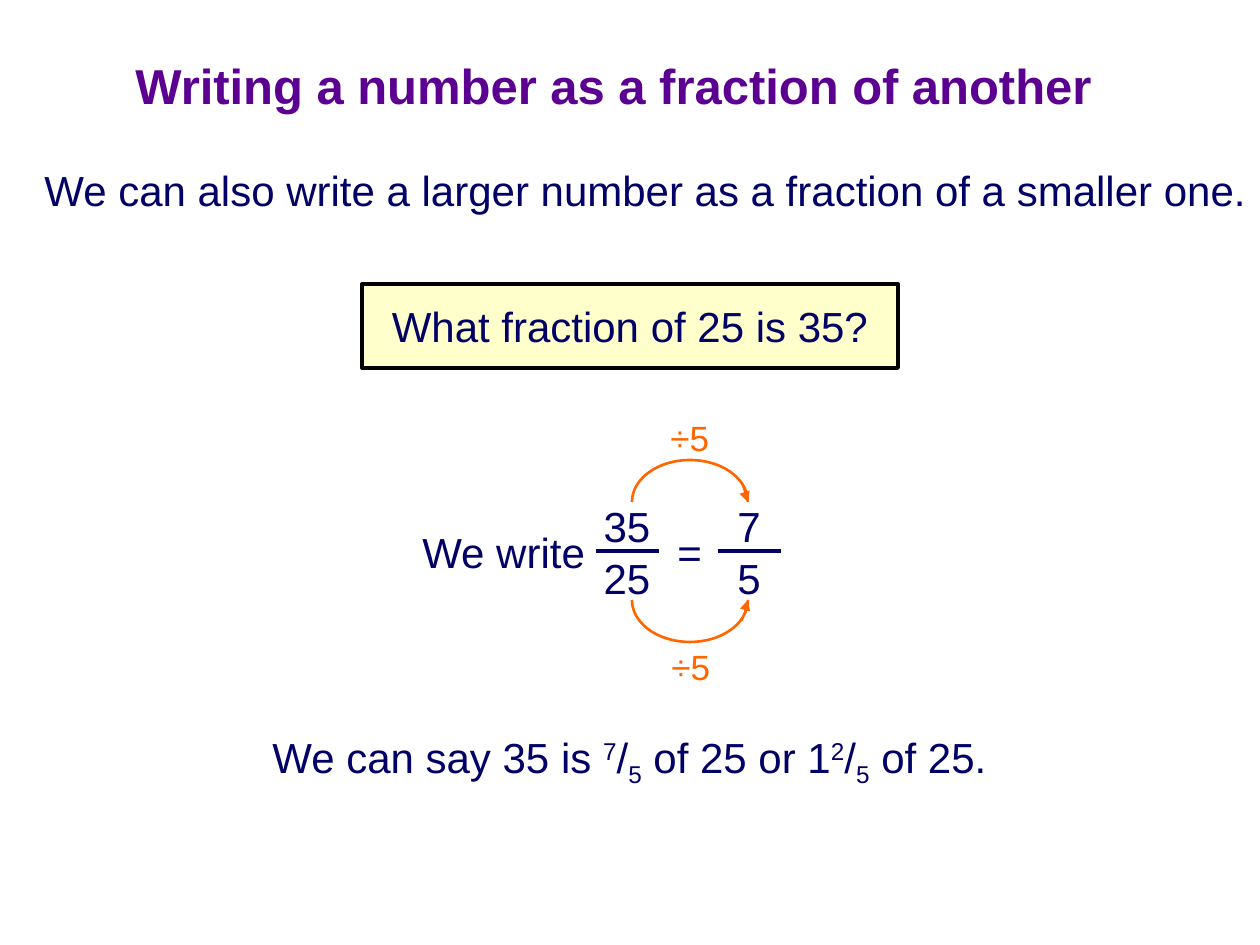
from dataclasses import dataclass

import pptx
import pptx.dml.color
import pptx.enum.shapes
import pptx.enum.text
import pptx.oxml
import pptx.oxml.ns
import pptx.util

EMU_PER_PX = 914400 / 126
ALIGN = pptx.enum.text.PP_ALIGN
ANCHOR = pptx.enum.text.MSO_ANCHOR
SHAPE = pptx.enum.shapes.MSO_SHAPE


@dataclass(frozen=True)
class Theme:
    font: str = "Arial"
    title: str = "5B0091"
    ink: str = "010066"
    accent: str = "FF6600"
    panel: str = "FFFFCC"
    border: str = "000000"
    title_size: int = 28
    body_size: int = 24
    note_size: int = 20
    heavy: float = 2.25
    medium: float = 1.5
    thin: float = 0.75


@dataclass(frozen=True)
class Box:
    x: int
    y: int
    w: int
    h: int


@dataclass(frozen=True)
class Label:
    text: str
    box: Box
    color: str
    size: int


@dataclass(frozen=True)
class Fraction:
    top: str
    bottom: str
    cx: int
    w: int


@dataclass(frozen=True)
class Arc:
    box: Box
    start: int
    end: int
    tip_from: tuple[int, int]
    tip_to: tuple[int, int]


THEME = Theme()
BAR_Y, BAR_W = 551, 63
LINE_H = 63

LABELS = [
    Label("We can also write a larger number as a fraction of a smaller one.",
          Box(32, 158, 1227, LINE_H), THEME.ink, THEME.body_size),
    Label("We write", Box(410, 520, 188, LINE_H), THEME.ink, THEME.body_size),
    Label("=", Box(665, 520, 49, LINE_H), THEME.ink, THEME.body_size),
    Label("÷5", Box(658, 410, 64, 55), THEME.accent, THEME.note_size),
    Label("÷5", Box(659, 639, 64, 55), THEME.accent, THEME.note_size),
]
FRACTIONS = [Fraction("35", "25", 627, 72), Fraction("7", "5", 749, 48)]
ARCS = [
    Arc(Box(632, 460, 116, 84), 180, 0, (741, 481), (748, 502)),
    Arc(Box(632, 558, 116, 84), 0, 180, (742, 621), (748, 600)),
]
CONCLUSION = [
    ("We can say 35 is ", 0), ("7", 30), ("/", 0), ("5", -25),
    (" of 25 or 1", 0), ("2", 30), ("/", 0), ("5", -25), (" of 25.", 0),
]


def px(n: int) -> int:
    return round(n * EMU_PER_PX)


def rgb(value: str) -> pptx.dml.color.RGBColor:
    return pptx.dml.color.RGBColor.from_string(value)


def bounds(box: Box) -> tuple[int, ...]:
    return tuple(px(n) for n in (box.x, box.y, box.w, box.h))


def style_run(r, color: str, size: int, bold: bool = False) -> None:
    r.font.name = THEME.font
    r.font.size = pptx.util.Pt(size)
    r.font.bold = bold
    r.font.color.rgb = rgb(color)


def set_line(sp, color: str, width: float) -> None:
    sp.line.color.rgb = rgb(color)
    sp.line.width = pptx.util.Pt(width)


def add_label(s, label: Label, align=ALIGN.LEFT):
    sp = s.shapes.add_textbox(*bounds(label.box))
    tf = sp.text_frame
    tf.word_wrap = False
    tf.text = label.text
    p = tf.paragraphs[0]
    p.alignment = align
    for r in p.runs:
        style_run(r, label.color, label.size)
    return sp


def add_title(s, text: str, box: Box) -> None:
    sp = s.shapes.title
    sp.left, sp.top, sp.width, sp.height = bounds(box)
    tf = sp.text_frame
    tf.text = text
    tf.auto_size = pptx.enum.text.MSO_AUTO_SIZE.NONE
    tf.vertical_anchor = ANCHOR.MIDDLE
    p = tf.paragraphs[0]
    p.alignment = ALIGN.CENTER
    style_run(p.runs[0], THEME.title, THEME.title_size, bold=True)


def add_question(s, text: str, box: Box) -> None:
    sp = s.shapes.add_shape(SHAPE.RECTANGLE, *bounds(box))
    sp.shadow.inherit = False
    sp.fill.solid()
    sp.fill.fore_color.rgb = rgb(THEME.panel)
    set_line(sp, THEME.border, THEME.heavy)
    tf = sp.text_frame
    tf.text = text
    tf.vertical_anchor = ANCHOR.MIDDLE
    p = tf.paragraphs[0]
    p.alignment = ALIGN.CENTER
    style_run(p.runs[0], THEME.ink, THEME.body_size)


def add_line(s, start: tuple[int, int], end: tuple[int, int],
             color: str, width: float, arrow: bool = False) -> None:
    sp = s.shapes.add_connector(
        pptx.enum.shapes.MSO_CONNECTOR.STRAIGHT,
        *(px(n) for n in (*start, *end)))
    set_line(sp, color, width)
    if arrow:
        tail = pptx.oxml.ns.qn("a:tailEnd")
        ln = sp.line._get_or_add_ln()
        ln.append(ln.makeelement(tail, {"type": "triangle"}))
    sp_pr = sp._element.spPr
    sp_pr.append(sp_pr.makeelement(pptx.oxml.ns.qn("a:effectLst"), {}))


def add_fraction(s, fraction: Fraction) -> None:
    left = fraction.cx - fraction.w // 2
    for text, y in ((fraction.top, 494), (fraction.bottom, 546)):
        box = Box(left, y, fraction.w, LINE_H)
        add_label(s, Label(text, box, THEME.ink, THEME.body_size), ALIGN.CENTER)
    bar_x = fraction.cx - BAR_W // 2
    add_line(s, (bar_x, BAR_Y), (bar_x + BAR_W, BAR_Y), THEME.ink, THEME.heavy)


def add_arc(s, arc: Arc) -> None:
    sp = s.shapes.add_shape(SHAPE.ARC, *bounds(arc.box))
    sp.shadow.inherit = False
    sp.fill.background()
    for i, degrees in enumerate((arc.start, arc.end)):
        sp.adjustments[i] = degrees * 0.6
    set_line(sp, THEME.accent, THEME.medium)
    add_line(s, arc.tip_from, arc.tip_to, THEME.accent, THEME.thin, arrow=True)


def add_conclusion(s, parts: list[tuple[str, int]], box: Box) -> None:
    sp = add_label(s, Label("", box, THEME.ink, THEME.body_size))
    p = sp.text_frame.paragraphs[0]
    for text, baseline in parts:
        r = p.add_run()
        r.text = text
        style_run(r, THEME.ink, THEME.body_size)
        if baseline:
            r.font._element.set("baseline", str(baseline * 1000))


def main() -> None:
    prs = pptx.Presentation()
    prs.slide_width, prs.slide_height = px(1260), px(945)
    s = prs.slides.add_slide(prs.slide_layouts[5])
    add_title(s, "Writing a number as a fraction of another", Box(63, 38, 1101, 94))
    add_question(s, "What fraction of 25 is 35?", Box(362, 284, 536, 84))
    for label in LABELS:
        add_label(s, label)
    for fraction in FRACTIONS:
        add_fraction(s, fraction)
    for arc in ARCS:
        add_arc(s, arc)
    add_conclusion(s, CONCLUSION, Box(260, 725, 740, 71))
    prs.save("out.pptx")


if __name__ == "__main__":
    main()
